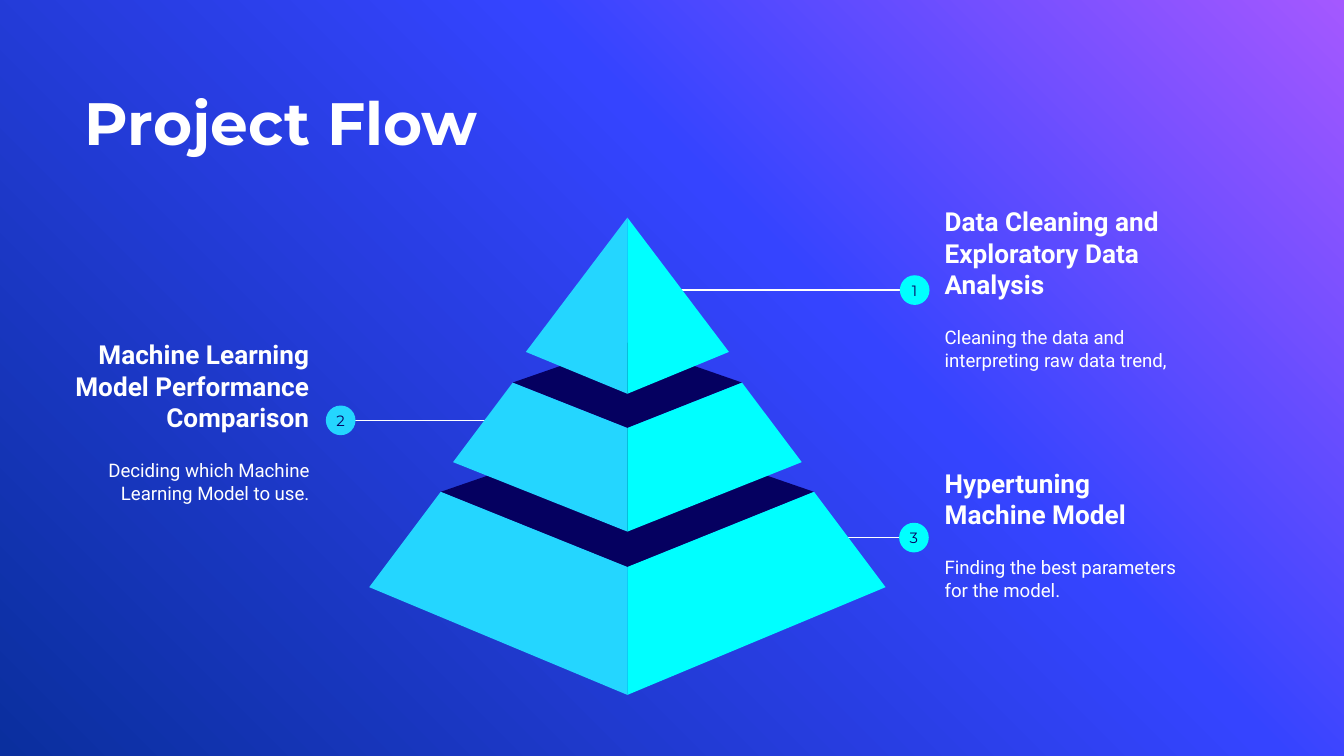
from copy import deepcopy
from pptx import Presentation
from pptx.dml.color import RGBColor
from pptx.enum.shapes import MSO_CONNECTOR, MSO_SHAPE
from pptx.enum.text import MSO_ANCHOR, PP_ALIGN
from pptx.oxml.ns import qn
from pptx.util import Pt
from lxml.etree import SubElement

HUES = {"purple": "A458FF", "blue": "3544FF", "deep": "0A2F9E", "white": "FFFFFF",
        "cyan": "00FFFF", "sky": "24D6FF", "navy": "050060"}


def paint(shape, hue):
    shape.shadow.inherit = False
    shape.fill.solid()
    shape.fill.fore_color.rgb = RGBColor.from_string(HUES[hue])
    shape.line.fill.background()


def write(par, text, face, size, hue, bold=False, align=PP_ALIGN.LEFT):
    par.text = text
    par.alignment = align
    font = par.font
    font.name, font.size, font.bold = face, Pt(size), bold
    font.color.rgb = RGBColor.from_string(HUES[hue])


deck = Presentation()
deck.slide_width, deck.slide_height = Pt(720), Pt(405)
slide = deck.slides.add_slide(deck.slide_layouts[6])
shapes = slide.shapes

# Background: three-stop diagonal gradient
fill = slide.background.fill
fill.gradient()
fill.gradient_angle = 225
stops = slide._element.find(".//" + qn("a:gsLst"))
stops.append(deepcopy(stops[0]))
for stop, (hue, pos) in zip(fill.gradient_stops,
                            [("purple", 0), ("blue", 0.39), ("deep", 1)]):
    stop.color.rgb = RGBColor.from_string(HUES[hue])
    stop.position = pos

# Title
frame = shapes.add_textbox(Pt(45.4), Pt(16.6), Pt(473.8), Pt(67.7)).text_frame
frame.word_wrap = True
frame.vertical_anchor = MSO_ANCHOR.BOTTOM
frame.margin_left = frame.margin_right = frame.margin_top = frame.margin_bottom = 0
write(frame.paragraphs[0], "Project Flow", "Montserrat", 32, "white", True)

# Callouts: number, heading, body, text left and top, ball centre, line end, colour, align
BALL = 15.9
calls = [
    ("3", "Hypertuning Machine Model", "Finding the best parameters for the model.",
     499, 231.8, 489.6, 288, 451.4, "cyan", PP_ALIGN.LEFT),
    ("2", "Machine Learning Model Performance Comparison",
     "Deciding which Machine Learning Model to use.",
     25.9, 171.4, 182.5, 225.2, 262.1, "sky", PP_ALIGN.RIGHT),
    ("1", "Data Cleaning and Exploratory Data Analysis",
     "Cleaning the data and interpreting raw data trend,",
     499, 100.1, 490, 155.4, 362.2, "cyan", PP_ALIGN.LEFT),
]
for num, head, body, left, top, mid, y, end, hue, align in calls:
    line = shapes.add_connector(MSO_CONNECTOR.STRAIGHT, Pt(end), Pt(y), Pt(mid), Pt(y))
    line.line.color.rgb = RGBColor.from_string(HUES["white"])
    line.line.width = Pt(0.75)
    SubElement(line._element.spPr, qn("a:effectLst"))

    frame = shapes.add_textbox(Pt(left), Pt(top), Pt(146.9), Pt(108.7)).text_frame
    frame.word_wrap = True
    frame.vertical_anchor = MSO_ANCHOR.MIDDLE
    frame.margin_left = frame.margin_right = Pt(7.2)
    frame.margin_top = frame.margin_bottom = Pt(7.2)
    write(frame.paragraphs[0], head, "Roboto", 14, "white", True, align)
    par = frame.add_paragraph()
    par.space_before = Pt(14)
    write(par, body, "Roboto", 10, "white", False, align)

    ball = shapes.add_shape(MSO_SHAPE.OVAL, Pt(mid - BALL / 2), Pt(y - BALL / 2),
                            Pt(BALL), Pt(BALL))
    paint(ball, hue)
    frame = ball.text_frame
    frame.word_wrap = False
    frame.vertical_anchor = MSO_ANCHOR.MIDDLE
    frame.margin_left = frame.margin_right = frame.margin_top = frame.margin_bottom = 0
    write(frame.paragraphs[0], num, "Montserrat", 8, "navy", False, PP_ALIGN.CENTER)

# Pyramid, bottom tier first: upper half-width and y, front and back y of the lid,
# lower half-width and y, bottom tip y
AXIS = 336.1
tiers = [
    (100, 263.5, 303.8, 229, 138.3, 314.6, 372.3),
    (61.4, 205, 229.3, 183.6, 93.4, 247.6, 284.8),
    (0, 116.6, 116.6, 116.6, 54.4, 188.6, 211),
]
for half, rim, front, back, wide, low, tip in tiers:
    faces = [(hue, [(0, front), (side * half, rim), (side * wide, low), (0, tip)])
             for side, hue in [(-1, "sky"), (1, "cyan")]]
    if half:
        faces.insert(0, ("navy", [(-half, rim), (0, front), (half, rim), (0, back)]))
    for hue, spots in faces:
        spots = [(Pt(AXIS + x), Pt(y)) for x, y in spots]
        path = shapes.build_freeform(*spots[0])
        path.add_line_segments(spots[1:], close=True)
        paint(path.convert_to_shape(), hue)

deck.save("out.pptx")
